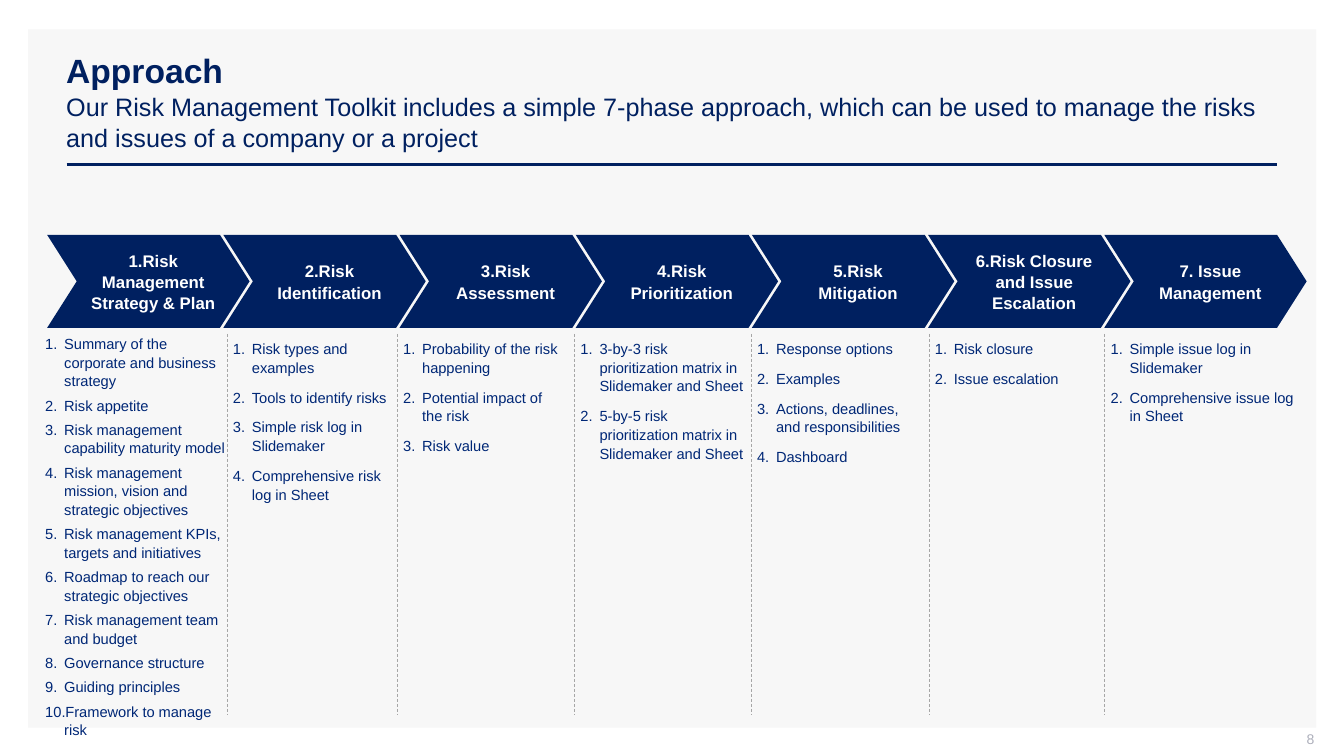
from collections import namedtuple
from lxml.etree import SubElement
from pptx import Presentation
from pptx.dml.color import RGBColor
from pptx.enum.dml import MSO_LINE
from pptx.enum.shapes import MSO_CONNECTOR, MSO_SHAPE
from pptx.enum.text import MSO_ANCHOR, MSO_AUTO_SIZE, PP_ALIGN
from pptx.oxml.ns import qn
from pptx.util import Cm, Pt

Box = namedtuple("Box", "left top width height")
Phase = namedtuple("Phase", "heading edge width height items")

COLORS = {
    "panel": "F7F7F7",
    "navy": "002060",
    "list": "002776",
    "divider": "A6A6A6",
    "number": "ADAFBB",
    "white": "FFFFFF",
}

PHASES = [
    Phase("1.Risk Management Strategy & Plan", 0.99, 4.83, 10.06, [
        "Summary of the corporate and business strategy",
        "Risk appetite",
        "Risk management capability maturity model",
        "Risk management mission, vision and strategic objectives",
        "Risk management KPIs, targets and initiatives",
        "Roadmap to reach our strategic objectives",
        "Risk management team and budget",
        "Governance structure",
        "Guiding principles",
        "Framework to manage risk",
    ]),
    Phase("2.Risk Identification", 5.72, 4.32, 4.93, [
        "Risk types and examples",
        "Tools to identify risks",
        "Simple risk log in Slidemaker",
        "Comprehensive risk log in Sheet",
    ]),
    Phase("3.Risk Assessment", 10.01, 4.34, 3.81, [
        "Probability of the risk happening",
        "Potential impact of the risk",
        "Risk value",
    ]),
    Phase("4.Risk Prioritization", 14.48, 4.47, 3.23, [
        "3-by-3 risk prioritization matrix in Slidemaker and Sheet",
        "5-by-5 risk prioritization matrix in Slidemaker and Sheet",
    ]),
    Phase("5.Risk Mitigation", 18.93, 4.27, 3.35, [
        "Response options",
        "Examples",
        "Actions, deadlines, and responsibilities",
        "Dashboard",
    ]),
    Phase("6.Risk Closure and Issue Escalation", 23.41, 4.88, 1.45, [
        "Risk closure",
        "Issue escalation",
    ]),
    Phase("7. Issue Management", 27.84, 4.88, 3.07, [
        "Simple issue log in Slidemaker",
        "Comprehensive issue log in Sheet",
    ]),
]


def color(key):
    return RGBColor.from_string(COLORS[key])


def set_format(target, **values):
    for key, value in values.items():
        setattr(target, key, value)


def set_frame(frame, insets, **values):
    sides = ("margin_left", "margin_top", "margin_right", "margin_bottom")
    margins = {side: Cm(inset) for side, inset in zip(sides, insets)}
    set_format(frame, word_wrap=True, **margins, **values)


def write(paragraph, text, size, color_key, bold=False):
    run = paragraph.add_run()
    run.text = text
    set_format(run.font, name="Arial", size=Pt(size), bold=bold)
    run.font.color.rgb = color(color_key)


def add_filled(slide, kind, box, color_key):
    filled = slide.shapes.add_shape(kind, *map(Cm, box))
    filled.shadow.inherit = False
    filled.fill.solid()
    filled.fill.fore_color.rgb = color(color_key)
    filled.line.fill.background()
    return filled


def add_rule(slide, start, end, color_key, width, dash=None):
    rule = slide.shapes.add_connector(
        MSO_CONNECTOR.STRAIGHT, *map(Cm, (*start, *end)))
    rule.line.color.rgb = color(color_key)
    set_format(rule.line, width=Pt(width), dash_style=dash)
    SubElement(rule._element.spPr, qn("a:effectLst"))


def add_title(slide, box):
    title = slide.shapes.add_textbox(*map(Cm, box)).text_frame
    set_frame(title, (0.25, 0.13, 0.25, 0.13),
              vertical_anchor=MSO_ANCHOR.MIDDLE)
    paragraph = title.paragraphs[0]
    paragraph.line_spacing = 1.03
    write(paragraph, "Approach", 24, "navy", bold=True)
    paragraph.add_line_break()
    write(paragraph, "Our Risk Management Toolkit includes a simple 7-phase "
          "approach, which can be used to manage the risks and issues of a "
          "company or a project", 18, "navy")
    rule_y = box.top + box.height + 0.1
    add_rule(slide, (box.left + 0.26, rule_y),
             (box.left + box.width, rule_y), "navy", 2)


def add_page_number(slide, box):
    number = slide.shapes.add_textbox(*map(Cm, box)).text_frame
    set_frame(number, (0.25, 0, 0, 0.13), vertical_anchor=MSO_ANCHOR.MIDDLE)
    number.paragraphs[0].alignment = PP_ALIGN.RIGHT
    write(number.paragraphs[0], "8", 10, "number")


def add_chevrons(slide, box):
    chevron_width = 5.1
    pitch = (box.width - chevron_width) / (len(PHASES) - 1)
    for index, phase in enumerate(PHASES):
        chevron = add_filled(slide, MSO_SHAPE.CHEVRON, Box(
            box.left + index * pitch, box.top, chevron_width, box.height),
            "navy")
        chevron.adjustments[0] = 0.318
        set_frame(chevron.text_frame, (0.25, 0.13, 0, 0.13),
                  vertical_anchor=MSO_ANCHOR.MIDDLE)
        heading = chevron.text_frame.paragraphs[0]
        set_format(heading, alignment=PP_ALIGN.CENTER, line_spacing=1.06)
        write(heading, phase.heading, 12, "white", bold=True)


def add_numbered_list(slide, box, items, gap):
    steps = slide.shapes.add_textbox(*map(Cm, box)).text_frame
    set_frame(steps, (0, 0.13, 0.25, 0.13),
              auto_size=MSO_AUTO_SIZE.SHAPE_TO_FIT_TEXT)
    for index, item in enumerate(items):
        step = steps.paragraphs[0] if index == 0 else steps.add_paragraph()
        properties = step._p.get_or_add_pPr()
        properties.set("marL", str(Cm(0.48)))
        properties.set("indent", str(-Cm(0.48)))
        SubElement(properties, qn("a:buFont"), typeface="+mj-lt")
        SubElement(properties, qn("a:buAutoNum"), type="arabicPeriod")
        set_format(step, line_spacing=1.06, space_after=Pt(gap),
                   space_before=Pt(gap if index else 0))
        write(step, item, 10.5, "list")


def add_phase_lists(slide, box):
    for index, phase in enumerate(PHASES):
        edge = box.left + phase.edge - PHASES[0].edge
        top, gap = (box.top, 4) if index else (box.top - 0.13, 2)
        if index:
            add_rule(slide, (edge, box.top), (edge, box.top + box.height),
                     "divider", 0.5, MSO_LINE.DASH)
        add_numbered_list(slide, Box(edge + 0.15, top, phase.width,
                                     phase.height), phase.items, gap)


def main():
    deck = Presentation()
    set_format(deck, slide_width=Cm(33.87), slide_height=Cm(19.05))
    slide = deck.slides.add_slide(deck.slide_layouts[6])
    add_filled(slide, MSO_SHAPE.RECTANGLE, Box(0.71, 0.74, 32.46, 17.6),
               "panel")
    add_title(slide, Box(1.42, 1.02, 30.76, 3.02))
    add_page_number(slide, Box(25.5, 18.42, 7.62, 0.53))
    add_chevrons(slide, Box(1.19, 5.92, 31.74, 2.34))
    add_phase_lists(slide, Box(0.99, 8.41, 31.88, 9.6))
    deck.save("out.pptx")


if __name__ == "__main__":
    main()
